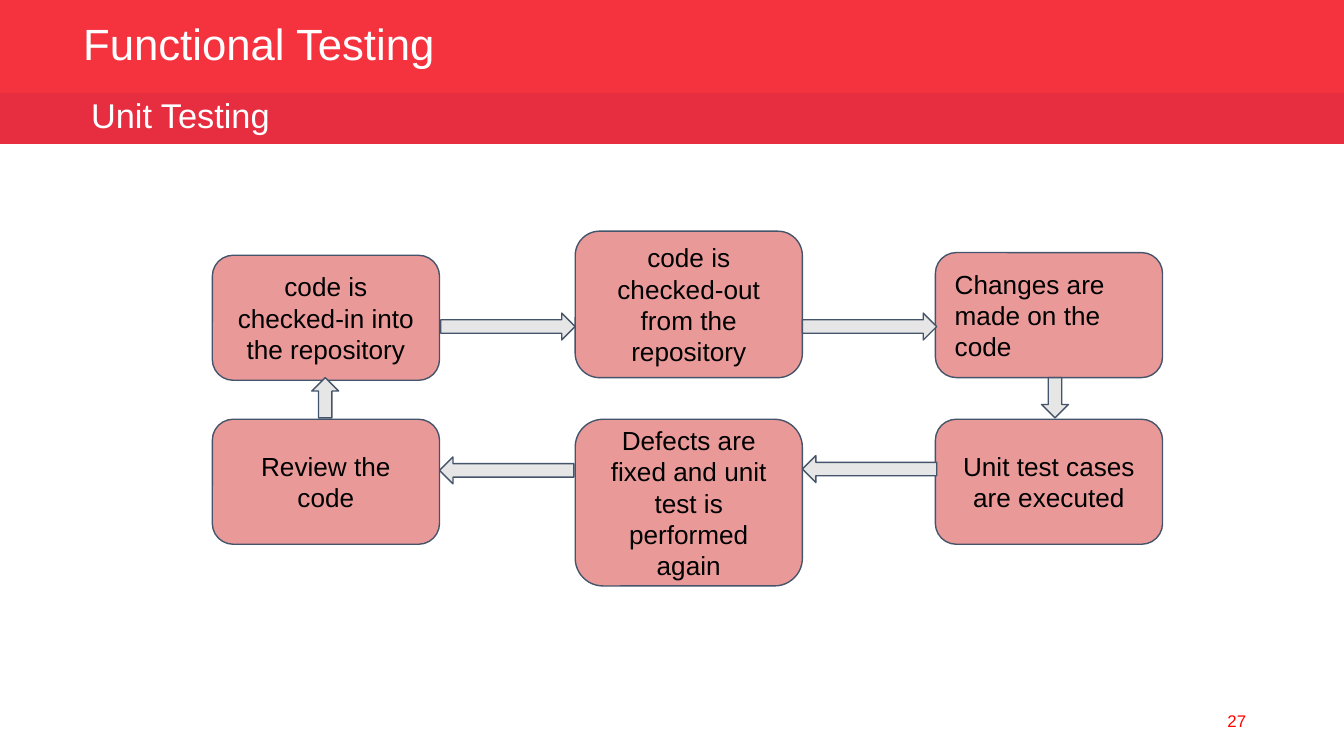
from dataclasses import dataclass

from pptx import Presentation
from pptx.dml.color import RGBColor
from pptx.enum.shapes import MSO_SHAPE
from pptx.enum.text import MSO_ANCHOR, PP_ALIGN
from pptx.shapes.autoshape import Shape
from pptx.text.text import TextFrame
from pptx.util import Inches, Pt

RED, DARK_RED, PINK = "F5333F", "E72D40", "EA9999"
GREY, SLATE, WHITE, BLACK = "E7E6E6", "44546A", "FFFFFF", "000000"
PAGE_RED = "FF0000"

SLIDE_WIDTH = 10
SLIDE_HEIGHT = SLIDE_WIDTH * 9 / 16
STEP_WIDTH, STEP_HEIGHT = 1.69, 0.93
COLUMNS = (1.58, 4.28, 6.96)
TOP_ROW_BOTTOM, BOTTOM_ROW = 2.81, 3.12
ARROW_THICKNESS, ACROSS, BETWEEN_ROWS = 0.2, 1, 0.3


@dataclass
class Step:
    text: str
    left: float
    top: float
    height: float = STEP_HEIGHT
    align: PP_ALIGN = PP_ALIGN.CENTER


@dataclass
class Arrow:
    left: float
    top: float
    preset: MSO_SHAPE = MSO_SHAPE.RIGHT_ARROW
    rotation: float = 0


@dataclass
class Label:
    text: str
    left: float
    top: float
    width: float
    height: float
    size: float
    color: str = WHITE
    align: PP_ALIGN = PP_ALIGN.LEFT
    line_spacing: float = 1.0


def rgb(color: str) -> RGBColor:
    return RGBColor.from_string(color)


def write(frame: TextFrame, text: str, size: float, color: str,
          align: PP_ALIGN, inset: float, line_spacing: float = 1.0) -> None:
    frame.word_wrap = True
    frame.vertical_anchor = MSO_ANCHOR.MIDDLE
    frame.margin_left = frame.margin_right = Inches(0.1)
    frame.margin_top = frame.margin_bottom = Inches(inset)
    frame.text = text
    paragraph = frame.paragraphs[0]
    paragraph.alignment = align
    paragraph.line_spacing = line_spacing
    font = paragraph.runs[0].font
    font.name, font.size = "Arial", Pt(size)
    font.color.rgb = rgb(color)


def add_block(preset: MSO_SHAPE, left: float, top: float, width: float,
              height: float, fill: str, outline: str | None = None) -> Shape:
    block = slide.shapes.add_shape(
        preset, Inches(left), Inches(top), Inches(width), Inches(height))
    block.shadow.inherit = False
    block.fill.solid()
    block.fill.fore_color.rgb = rgb(fill)
    if outline:
        block.line.color.rgb = rgb(outline)
        block.line.width = Pt(0.75)
    else:
        block.line.fill.background()
    return block


def add_label(label: Label) -> None:
    box = slide.shapes.add_textbox(Inches(label.left), Inches(label.top),
                                   Inches(label.width), Inches(label.height))
    write(box.text_frame, label.text, label.size, label.color, label.align,
          0.05, label.line_spacing)


def add_step(step: Step) -> None:
    block = add_block(MSO_SHAPE.ROUNDED_RECTANGLE, step.left, step.top,
                      STEP_WIDTH, step.height, PINK, SLATE)
    write(block.text_frame, step.text, 14, BLACK, step.align, 0.1)


def add_arrow(arrow: Arrow) -> None:
    if arrow.preset == MSO_SHAPE.RIGHT_ARROW:
        width, height = ACROSS, ARROW_THICKNESS
    else:
        width, height = ARROW_THICKNESS, BETWEEN_ROWS
    block = add_block(arrow.preset, arrow.left, arrow.top, width, height,
                      GREY, SLATE)
    block.rotation = arrow.rotation


presentation = Presentation()
presentation.slide_width = Inches(SLIDE_WIDTH)
presentation.slide_height = Inches(SLIDE_HEIGHT)
slide = presentation.slides.add_slide(presentation.slide_layouts[6])

# Header bands, titles and page number
add_block(MSO_SHAPE.RECTANGLE, 0, 0, SLIDE_WIDTH, 0.7, RED)
add_block(MSO_SHAPE.RECTANGLE, 0, 0.69, SLIDE_WIDTH, 0.38, DARK_RED)
for label in (
    Label("Functional Testing", 0.52, 0.14, 4.69, 0.44, 23.4, line_spacing=0.8),
    Label("Unit Testing", 0.58, 0.66, 4.69, 0.44, 18.4, line_spacing=0.8),
    Label("27", 7.12, 5.21, 2.25, 0.3, 9, PAGE_RED, PP_ALIGN.RIGHT),
):
    add_label(label)

# Steps of the cycle, clockwise from the upper left
check_in, check_out, change = COLUMNS
for step in (
    Step("code is checked-in into the repository", check_in, 1.9),
    Step("code is checked-out from the repository", check_out, 1.72, 1.09),
    Step("Changes are made on the code", change, 1.88, align=PP_ALIGN.LEFT),
    Step("Unit test cases are executed", change, BOTTOM_ROW),
    Step("Defects are fixed and unit test is performed again",
         check_out, BOTTOM_ROW, 1.24),
    Step("Review the code", check_in, BOTTOM_ROW),
):
    add_step(step)

# Arrows between the steps
for arrow in (
    Arrow(3.28, 2.33),
    Arrow(5.97, 2.33),
    Arrow(7.75, TOP_ROW_BOTTOM, MSO_SHAPE.DOWN_ARROW),
    Arrow(5.97, 3.39, rotation=180),
    Arrow(3.27, 3.4, rotation=180),
    Arrow(2.32, TOP_ROW_BOTTOM, MSO_SHAPE.UP_ARROW),
):
    add_arrow(arrow)

presentation.save("out.pptx")
